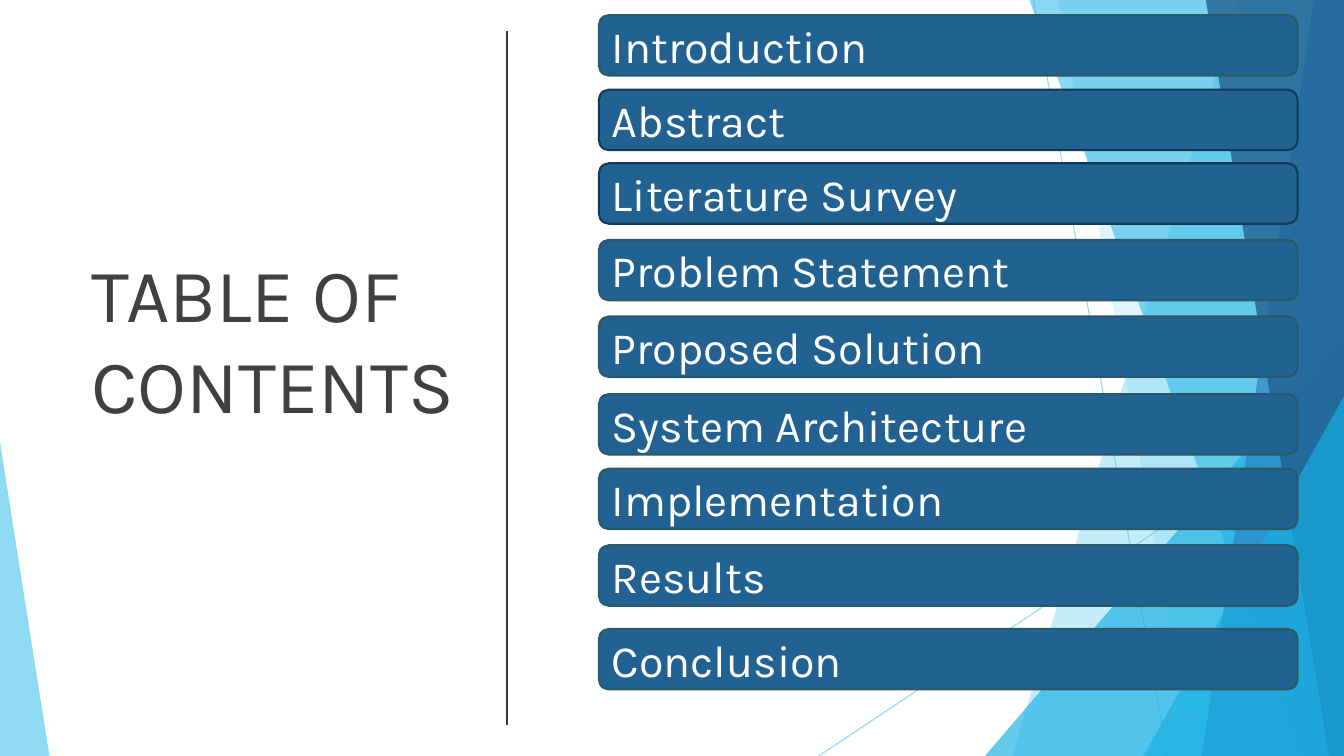
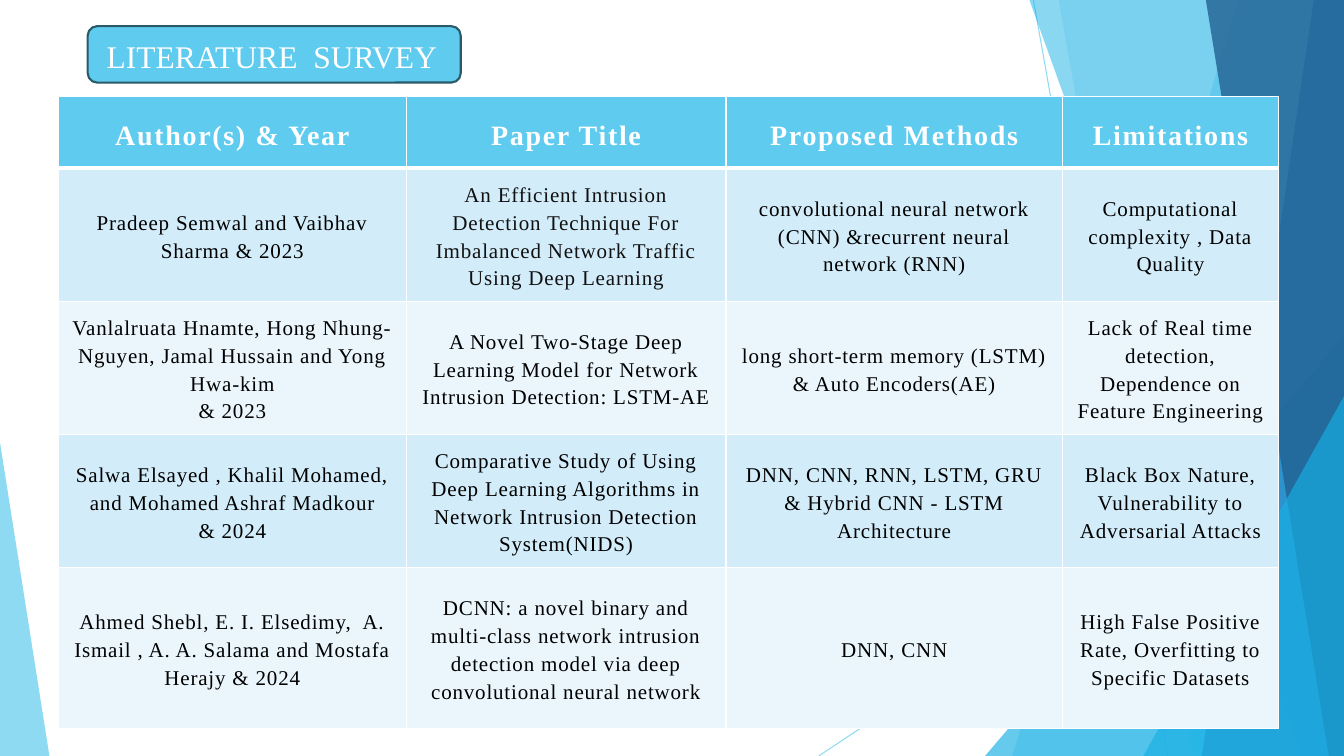
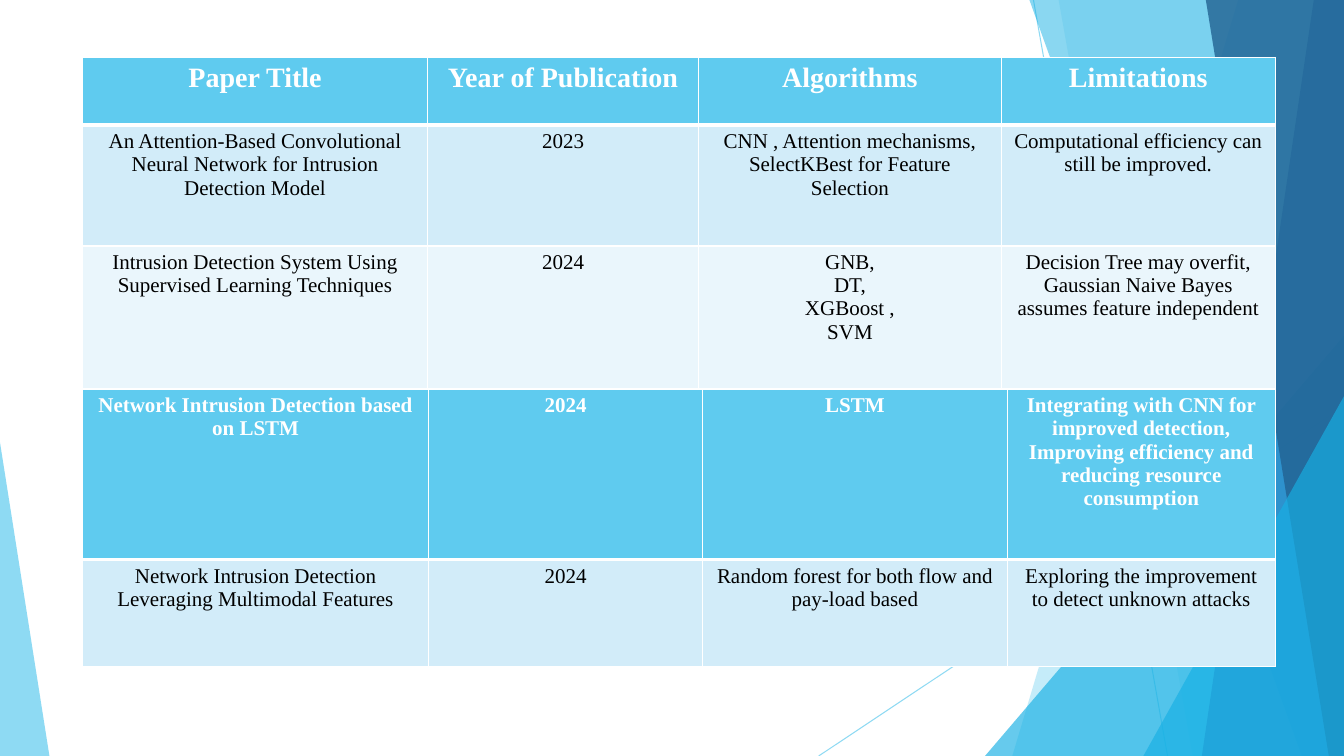
"""Build the contents and literature survey slides of an intrusion detection talk."""
from lxml import etree
from pptx import Presentation
from pptx.dml.color import RGBColor
from pptx.enum import shapes, text
from pptx.oxml import ns
from pptx.util import Inches, Pt


class Theme:
    sky = RGBColor.from_string("5FCBEF")
    azure = RGBColor.from_string("17B0E4")
    blue = RGBColor.from_string("2E83C3")
    navy = RGBColor.from_string("226292")
    outline = RGBColor.from_string("2A5969")
    dark_outline = RGBColor.from_string("143955")
    divider = RGBColor.from_string("2C3C43")
    heading = RGBColor.from_string("404040")
    white = RGBColor.from_string("FFFFFF")
    black = RGBColor.from_string("000000")
    soft_black = RGBColor.from_string("111111")
    row_fills = (RGBColor.from_string("EAF6FC"), RGBColor.from_string("D2ECF9"))
    contents_title = {"name": "Karla", "size": Pt(54), "color": heading}
    contents_item = {"name": "Karla", "size": Pt(32), "color": white}
    survey_title = {"name": "Times New Roman", "size": Pt(22.5), "color": white}
    table_head = {"name": "Times New Roman", "size": Pt(20), "color": white, "bold": True}
    table_subhead = {**table_head, "size": Pt(15)}
    table_body = {"name": "Times New Roman", "size": Pt(15), "color": black, "bold": False}


def write(frame, words, look, tracking=0, **layout):
    """Fill a text frame and format its paragraphs."""
    frame.text = words
    frame.word_wrap = True
    for paragraph in frame.paragraphs:
        for key, value in layout.items():
            setattr(paragraph, key, value)
        for run in paragraph.runs:
            for key, value in look.items():
                if key == "color":
                    run.font.color.rgb = value
                else:
                    setattr(run.font, key, value)
            if tracking:
                run.font._element.set("spc", str(tracking))


def add_grid(slide, left, top, widths, heights, rows, head, tracking=(0, 0), insets=None, **layout):
    """Add a ruled table with a header row and alternating body rows."""
    grid = slide.shapes.add_table(
        len(rows), len(widths), Inches(left), Inches(top),
        Inches(sum(widths)), Inches(sum(heights))).table
    for column, width in zip(grid.columns, widths):
        column.width = Inches(width)
    for r, (height, row) in enumerate(zip(heights, rows)):
        grid.rows[r].height = Inches(height)
        for c, words in enumerate(row):
            cell = grid.cell(r, c)
            write(cell.text_frame, words, Theme.table_body if r else head,
                  tracking[min(r, 1)], alignment=text.PP_ALIGN.CENTER, **layout)
            if insets:
                cell.vertical_anchor = text.MSO_ANCHOR.MIDDLE
                cell.margin_left = cell.margin_right = Inches(insets[0])
                cell.margin_top = cell.margin_bottom = Inches(insets[1])
            cell.fill.solid()
            cell.fill.fore_color.rgb = Theme.row_fills[r % 2] if r else Theme.sky
            weights = {"L": 1, "R": 1, "T": 3 if r == 1 else 1, "B": 1 if r else 3}
            for position, (side, weight) in enumerate(weights.items()):
                rule = etree.Element(ns.qn(f"a:ln{side}"), w=str(Pt(weight)))
                paint = etree.SubElement(rule, ns.qn("a:solidFill"))
                etree.SubElement(paint, ns.qn("a:srgbClr"), val=str(Theme.white))
                cell._tc.get_or_add_tcPr().insert(position, rule)
    return grid


WIDTH, HEIGHT = 13.33, 7.5
deck = Presentation()
deck.slide_width, deck.slide_height = Inches(WIDTH), Inches(HEIGHT)
blank = deck.slide_layouts[6]
for placeholder in list(blank.placeholders):
    placeholder.element.getparent().remove(placeholder.element)
contents, survey, more_survey = [deck.slides.add_slide(blank) for _ in range(3)]

backdrop = []
for start_x, start_y, end_x in [(10.25, 0, 11.58), (WIDTH, 4.03, 8.12)]:
    ray = contents.shapes.add_connector(
        shapes.MSO_CONNECTOR.STRAIGHT, Inches(start_x), Inches(start_y), Inches(end_x), Inches(HEIGHT))
    ray.line.color.rgb = Theme.sky
    ray.line.width = Pt(0.75)
    etree.SubElement(ray._element.spPr, ns.qn("a:effectLst"))
    backdrop.append((ray, 70))

facets = [
    (Theme.sky, 36, (12.28, 10.04)),
    (Theme.sky, 20, (10.5, 11.83)),
    (Theme.azure, 66, (9.77, 3.33, 3.56, 1)),
    (Theme.azure, 50, (10.21, 12.91)),
    (Theme.blue, 70, (13.03, 11.92)),
    (Theme.navy, 80, (11.96, 13.18)),
    (Theme.azure, 66, (11.34, 3.93, 1.99, 1)),
    (Theme.sky, 70, (0, 4.39, 0.49, 0)),
]
for color, opacity, outline in facets:
    if len(outline) == 2:
        upper, lower = outline
        builder = contents.shapes.build_freeform(Inches(upper), 0)
        builder.add_line_segments(
            [(Inches(x), Inches(y)) for x, y in [(WIDTH, 0), (WIDTH, HEIGHT), (lower, HEIGHT)]])
        facet = builder.convert_to_shape()
    else:
        left, top, width, tip = outline
        facet = contents.shapes.add_shape(
            shapes.MSO_SHAPE.ISOSCELES_TRIANGLE,
            Inches(left), Inches(top), Inches(width), Inches(HEIGHT - top))
        facet.adjustments[0] = tip
    facet.shadow.inherit = False
    facet.fill.solid()
    facet.fill.fore_color.rgb = color
    facet.line.fill.background()
    backdrop.append((facet, opacity))

for part, opacity in backdrop:
    for paint in part._element.iter(ns.qn("a:srgbClr")):
        etree.SubElement(paint, ns.qn("a:alpha"), val=str(opacity * 1000))
    blank.shapes._spTree.append(part._element)

contents_title = contents.shapes.add_textbox(Inches(0.81), Inches(2.4), Inches(4.22), Inches(2.83))
write(contents_title.text_frame, "TABLE OF CONTENTS", Theme.contents_title)

divider = contents.shapes.add_connector(
    shapes.MSO_CONNECTOR.STRAIGHT, Inches(5.03), Inches(0.31), Inches(5.03), Inches(7.19))
divider.line.color.rgb = Theme.divider
divider.line.width = Pt(1)
etree.SubElement(divider._element.spPr, ns.qn("a:effectLst"))

bars = [
    (contents, 5.94, top, 6.93, 0.6, topic, Theme.contents_item, Theme.navy, edge)
    for topic, top, edge in [
        ("Introduction", 0.15, Theme.outline),
        ("Abstract", 0.89, Theme.dark_outline),
        ("Literature Survey", 1.62, Theme.dark_outline),
        ("Problem Statement", 2.38, Theme.outline),
        ("Proposed Solution", 3.14, Theme.outline),
        ("System Architecture", 3.91, Theme.outline),
        ("Implementation", 4.65, Theme.outline),
        ("Results", 5.41, Theme.outline),
        ("Conclusion", 6.24, Theme.outline),
    ]
]
bars.append((survey, 0.87, 0.26, 3.7, 0.56, "LITERATURE  SURVEY",
             Theme.survey_title, Theme.sky, Theme.outline))
for slide, left, top, width, height, words, look, fill, edge in bars:
    bar = slide.shapes.add_shape(
        shapes.MSO_SHAPE.ROUNDED_RECTANGLE, Inches(left), Inches(top), Inches(width), Inches(height))
    bar.shadow.inherit = False
    bar.fill.solid()
    bar.fill.fore_color.rgb = fill
    bar.line.color.rgb = edge
    bar.line.width = Pt(1.5)
    write(bar.text_frame, words, look, alignment=text.PP_ALIGN.LEFT)
    bar.text_frame.vertical_anchor = text.MSO_ANCHOR.MIDDLE
survey_frame = bar.text_frame
survey_frame.vertical_anchor = text.MSO_ANCHOR.BOTTOM
survey_frame.margin_left = Inches(0.16)
survey_frame.margin_right = 0

survey_rows = [
    ("Author(s) & Year", "Paper Title", "Proposed Methods", "Limitations"),
    ("Pradeep Semwal and Vaibhav Sharma & 2023",
     "An Efficient Intrusion Detection Technique For Imbalanced Network Traffic Using Deep Learning",
     "convolutional neural network (CNN) &recurrent neural network (RNN)",
     "Computational complexity , Data Quality"),
    ("Vanlalruata Hnamte, Hong Nhung-Nguyen, Jamal Hussain and Yong Hwa-kim\n& 2023",
     "A Novel Two-Stage Deep Learning Model for Network Intrusion Detection: LSTM-AE",
     "long short-term memory (LSTM) & Auto Encoders(AE)",
     "Lack of Real time detection, Dependence on Feature Engineering"),
    ("Salwa Elsayed , Khalil Mohamed, and Mohamed Ashraf Madkour\n& 2024",
     "Comparative Study of Using Deep Learning Algorithms in Network Intrusion Detection System(NIDS)",
     "DNN, CNN, RNN, LSTM, GRU & Hybrid CNN - LSTM Architecture",
     "Black Box Nature, Vulnerability to Adversarial Attacks"),
    ("Ahmed Shebl, E. I. Elsedimy,  A. Ismail , A. A. Salama and Mostafa Herajy & 2024",
     "DCNN: a novel binary and multi-class network intrusion detection model "
     "via deep convolutional neural network",
     "DNN, CNN",
     "High False Positive Rate, Overfitting to Specific Datasets"),
]
survey_grid = add_grid(
    survey, 0.58, 0.96, (3.45, 3.17, 3.34, 2.14), (0.71, 1.32, 1.32, 1.32, 1.6), survey_rows,
    Theme.table_head, tracking=(120, 60), insets=(0.12, 0.07), line_spacing=1.2)
first_paper = survey_grid.cell(1, 1).text_frame.paragraphs[0].runs[0]
first_paper.font.color.rgb = Theme.soft_black

paper_rows = [
    ("Paper Title", "Year of Publication", "Algorithms", "Limitations"),
    ("An Attention-Based Convolutional Neural Network for Intrusion Detection Model",
     "2023",
     "CNN , Attention mechanisms,\nSelectKBest for Feature Selection",
     "Computational efficiency can still be improved."),
    ("Intrusion Detection System Using Supervised Learning Techniques",
     "2024",
     "GNB,\nDT,\nXGBoost ,\nSVM",
     "Decision Tree may overfit,\nGaussian Naive Bayes assumes feature independent"),
]
add_grid(more_survey, 0.82, 0.57, (3.42, 2.69, 3, 2.72), (0.67, 1.2, 1.42), paper_rows, Theme.table_head)

network_rows = [
    ("Network Intrusion Detection based on LSTM",
     "2024",
     "LSTM",
     "Integrating with CNN for improved detection,\n"
     "Improving efficiency and reducing resource consumption"),
    ("Network Intrusion Detection Leveraging Multimodal Features",
     "2024",
     "Random forest for both flow and pay-load based",
     "Exploring the improvement to detect unknown attacks"),
]
add_grid(more_survey, 0.82, 3.86, (3.43, 2.72, 3.02, 2.66), (1.69, 1.06), network_rows, Theme.table_subhead)

deck.save("out.pptx")
